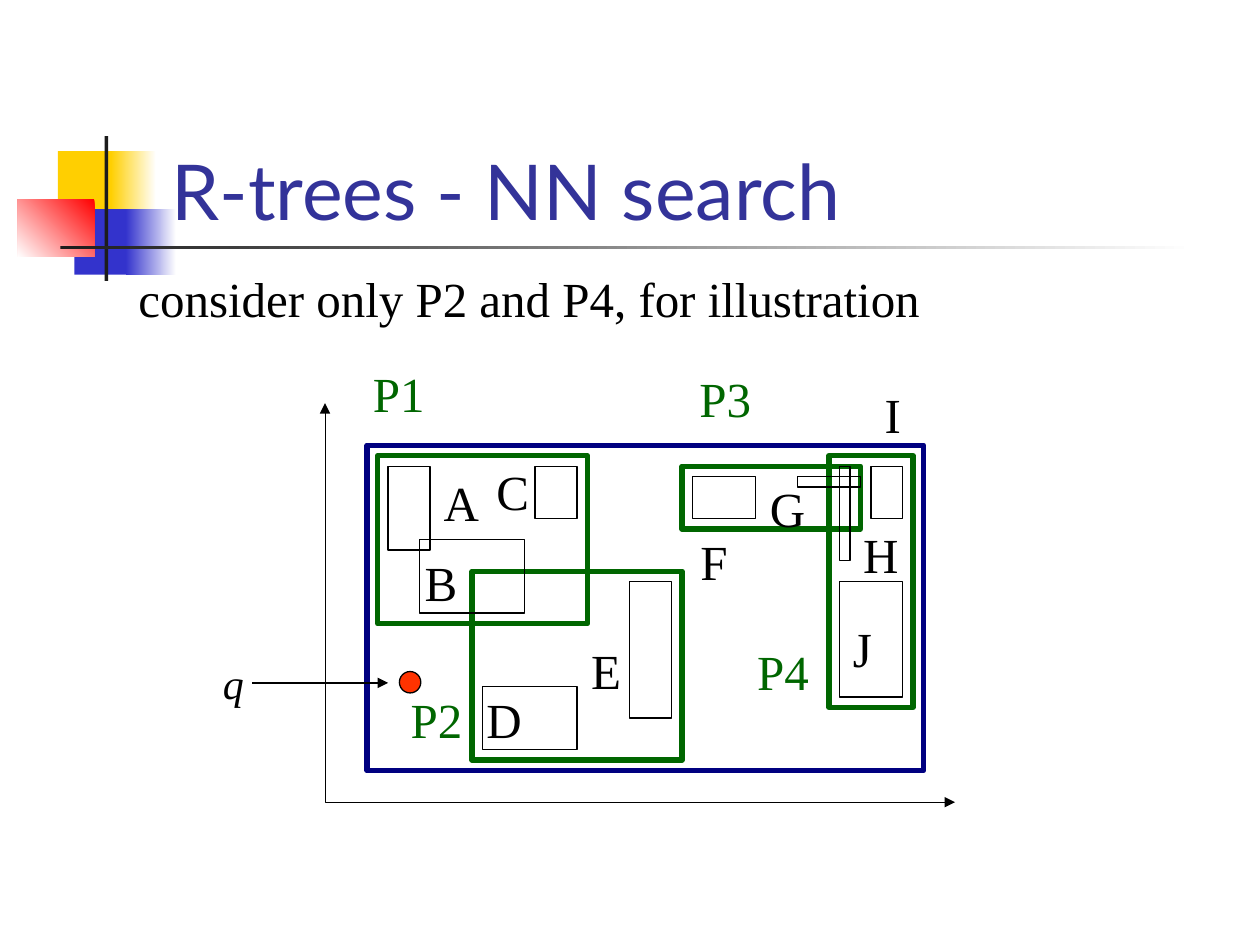
from dataclasses import dataclass

from lxml import etree
from pptx import Presentation
from pptx.dml.color import RGBColor
from pptx.enum.shapes import MSO_CONNECTOR, MSO_SHAPE
from pptx.enum.text import MSO_ANCHOR, MSO_AUTO_SIZE, PP_ALIGN
from pptx.oxml.ns import qn
from pptx.util import Inches, Pt

RECT, OVAL = MSO_SHAPE.RECTANGLE, MSO_SHAPE.OVAL
STRAIGHT = MSO_CONNECTOR.STRAIGHT
TOP, MIDDLE, BOTTOM = MSO_ANCHOR.TOP, MSO_ANCHOR.MIDDLE, MSO_ANCHOR.BOTTOM
LEFT, CENTER = PP_ALIGN.LEFT, PP_ALIGN.CENTER
GROW, FIXED = MSO_AUTO_SIZE.SHAPE_TO_FIT_TEXT, MSO_AUTO_SIZE.NONE


@dataclass(frozen=True)
class Theme:
    head_font: str = "Lato"
    text_font: str = "Times New Roman"
    head_size: int = 44
    text_size: int = 28
    query_size: int = 24
    white: str = "FFFFFF"
    black: str = "000000"
    title: str = "333399"
    green: str = "006600"
    navy: str = "000080"
    point: str = "FF3300"
    gold: str = "FFCF01"
    blue: str = "3333CC"
    red: str = "FF0000"
    dark: str = "1C1C1C"
    hair: float = 0.25
    thin: float = 0.75
    thick: float = 3


def inches(values):
    return [Inches(value) for value in values]


def apply(target, values):
    for name, value in values.items():
        setattr(target, name, value)


class Deck:
    def __init__(self, theme):
        self.theme = theme
        self.show = Presentation()
        apply(self.show, {"slide_width": Inches(10), "slide_height": Inches(7.5)})
        self.slide = self.show.slides.add_slide(self.show.slide_layouts[5])
        self.shapes = self.slide.shapes

    def stroke(self, shape, color, width):
        shape.line.color.rgb = RGBColor.from_string(color)
        shape.line.width = Pt(width)

    def arrow(self, shape, *ends):
        line = shape.element.spPr.find(qn("a:ln"))
        for end in ends:
            etree.SubElement(line, qn(f"a:{end}"), type="triangle")

    def block(self, box, fill=None, line=None, width=0.75, fade=None, angle=0, kind=RECT):
        shape = self.shapes.add_shape(kind, *inches(box))
        shape.shadow.inherit = False
        if fade:
            shape.fill.gradient()
            shape.fill.gradient_angle = angle
            for stop, color in zip(shape.fill.gradient_stops, (fill, fade)):
                stop.color.rgb = RGBColor.from_string(color)
        elif fill:
            shape.fill.solid()
            shape.fill.fore_color.rgb = RGBColor.from_string(fill)
        else:
            shape.fill.background()
        if line:
            self.stroke(shape, line, width)
        else:
            shape.line.fill.background()

    def letter(self, shape, text, font, size, color, align=LEFT, italic=False, **frame):
        apply(shape.text_frame, frame)
        part = shape.text_frame.paragraphs[0]
        part.text = text
        part.alignment = align
        apply(part.font, {"name": font, "size": Pt(size), "italic": italic})
        part.font.color.rgb = RGBColor.from_string(color)

    def title(self, box, text):
        shape = self.shapes.title
        apply(shape, dict(zip(("left", "top", "width", "height"), inches(box))))
        look = self.theme
        self.letter(shape, text, look.head_font, look.head_size, look.title,
                    vertical_anchor=BOTTOM, word_wrap=True, auto_size=FIXED)

    def label(self, box, text, color=None, size=None, wrap=False, anchor=MIDDLE, **style):
        look = self.theme
        self.letter(self.shapes.add_textbox(*inches(box)), text, look.text_font,
                    size or look.text_size, color or look.black, word_wrap=wrap,
                    vertical_anchor=anchor, auto_size=GROW, **style)

    def pointer(self, start, end):
        line = self.shapes.add_connector(STRAIGHT, *inches((*start, *end)))
        self.stroke(line, self.theme.black, self.theme.thin)
        self.arrow(line, "tailEnd")
        etree.SubElement(line.element.spPr, qn("a:effectLst"))

    def axes(self, points):
        first, *rest = [inches(point) for point in points]
        pen = self.shapes.build_freeform(*first)
        pen.add_line_segments(rest, close=False)
        shape = pen.convert_to_shape()
        shape.shadow.inherit = False
        shape.fill.background()
        self.stroke(shape, self.theme.black, self.theme.hair)
        self.arrow(shape, "headEnd", "tailEnd")


def main():
    look = Theme()
    deck = Deck(look)

    for box, color, fade, angle in (
        ((0.46, 1.2, 0.48, 0.52), look.gold, None, 0),
        ((0.88, 1.2, 0.36, 0.52), look.gold, look.white, 0),
        ((0.59, 1.66, 0.46, 0.52), look.blue, None, 0),
        ((1, 1.66, 0.4, 0.52), look.blue, look.white, 0),
        ((0.14, 1.58, 0.61, 0.46), look.red, look.white, 225),
        ((0.83, 1.08, 0.03, 1.15), look.dark, None, 0),
        ((0.48, 1.95, 9, 0.03), look.dark, look.white, 0),
    ):
        deck.block(box, color, fade=fade, angle=angle)
    deck.title((1.26, 0.67, 8.52, 1.25), "R-trees - NN search")

    left, top, cell = 2.58, 3.2, 1 / 12
    nodes = ((5, 5, 20, 16), (48, 5, 8, 24), (14, 16, 20, 18), (34, 6, 17, 6))
    items = (
        (6, 6, 4, 8), (20, 6, 4, 5), (9, 13, 10, 7), (15, 27, 9, 6), (29, 17, 4, 13),
        (35, 7, 6, 4), (49, 17, 6, 11), (52, 6, 3, 5), (45, 7, 6, 1), (49, 6, 1, 9),
    )
    root = ((4, 4, 53, 31),)
    for group, color, width in (
        (nodes, look.green, look.thick),
        (items, look.black, look.thin),
        (root, look.navy, look.thick),
    ):
        for x, y, w, h in group:
            box = (left + x * cell, top + y * cell, w * cell, h * cell)
            deck.block(box, line=color, width=width)

    base = top + 38 * cell
    deck.axes(((left, top), (left, base), (left + 60 * cell, base)))

    tall = 0.57
    for text, x, y, w in (
        ("A", 3.42, 3.7, 0.48), ("B", 3.27, 4.33, 0.46), ("C", 3.84, 3.61, 0.46),
        ("D", 3.76, 5.42, 0.48), ("E", 4.59, 5.03, 0.44), ("F", 5.46, 4.17, 0.41),
        ("G", 6.01, 3.75, 0.48), ("H", 6.75, 4.11, 0.48), ("I", 6.92, 3, 0.33),
        ("J", 6.67, 4.86, 0.35),
    ):
        deck.label((x, y, w, tall), text, align=CENTER)
    for text, x, y in (
        ("P1", 2.86, 2.83), ("P2", 3.16, 5.42), ("P3", 5.45, 2.87), ("P4", 5.91, 5.04),
    ):
        deck.label((x, y, 0.61, tall), text, look.green, align=CENTER)

    deck.block((3.17, 5.33, 0.17, 0.17), look.point, look.black, look.thin, kind=OVAL)
    deck.pointer((2, 5.42), (3.08, 5.42))
    deck.label((1.67, 5.17, 0.36, 0.5), "q", size=look.query_size, anchor=TOP, italic=True)
    deck.label((1, 2.08, 7.58, tall), "consider only P2 and P4, for illustration", wrap=True)

    deck.show.save("out.pptx")


if __name__ == "__main__":
    main()
